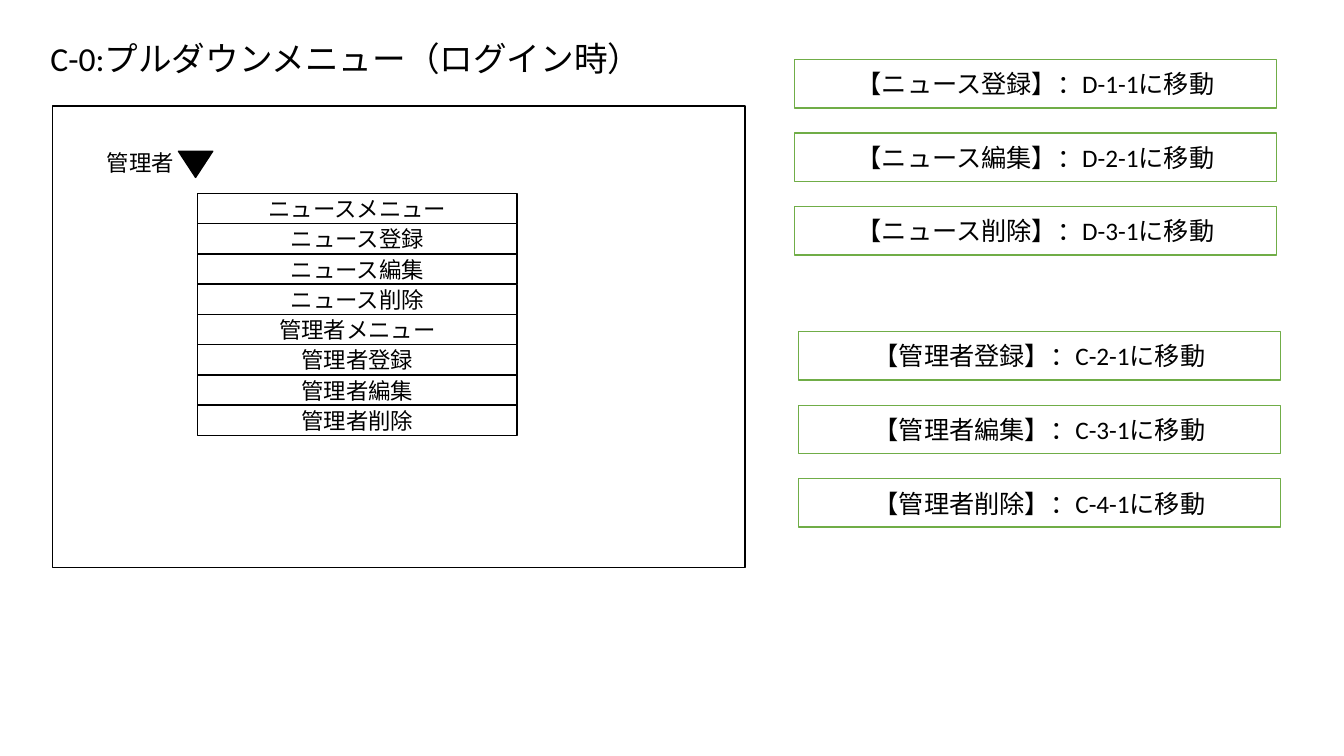
"""Build the pull-down menu slide for a logged-in administrator."""
from pptx import Presentation
from pptx.dml.color import RGBColor
from pptx.enum.shapes import MSO_SHAPE as Shape
from pptx.enum.text import MSO_ANCHOR as Anchor, MSO_AUTO_SIZE as Fit, PP_ALIGN as Align
from pptx.util import Inches, Pt

TITLE = "C-0:プルダウンメニュー（ログイン時）"
USER = "管理者"
MENU = [
    "ニュースメニュー", "ニュース登録", "ニュース編集", "ニュース削除",
    "管理者メニュー", "管理者登録", "管理者編集", "管理者削除",
]
MOVES = [
    (7.88, 0.59, [("ニュース登録", "D-1-1"), ("ニュース編集", "D-2-1"), ("ニュース削除", "D-3-1")]),
    (7.92, 3.29, [("管理者登録", "C-2-1"), ("管理者編集", "C-3-1"), ("管理者削除", "C-4-1")]),
]
MENU_X, MENU_Y, MENU_W, ROW = 1.96, 1.92, 3.17, 0.3
MOVE_W, MOVE_H, STEP = 4.78, 0.48, 0.73

BLACK = RGBColor(0x00, 0x00, 0x00)
WHITE = RGBColor(0xFF, 0xFF, 0xFF)
GREEN = RGBColor(0x70, 0xAD, 0x47)


def write(frame, text, size, align=Align.LEFT):
    """Put one styled paragraph in a text frame."""
    frame.text = text
    para = frame.paragraphs[0]
    para.alignment = align
    para.font.name = "Calibri"
    para.font.size = Pt(size)
    para.font.color.rgb = BLACK
    return para


def draw(slide, kind, place, fill=WHITE, line=BLACK):
    """Add a flat shape with a thin outline."""
    shape = slide.shapes.add_shape(kind, *map(Inches, place))
    shape.shadow.inherit = False
    shape.fill.solid()
    shape.fill.fore_color.rgb = fill
    shape.line.color.rgb = line
    shape.line.width = Pt(1)
    return shape


def box(slide, place, text, size, line=BLACK):
    """Add a rectangle with centred text."""
    frame = draw(slide, Shape.RECTANGLE, place, line=line).text_frame
    frame.vertical_anchor = Anchor.MIDDLE
    write(frame, text, size, Align.CENTER)


def main():
    """Lay out the slide and save it."""
    deck = Presentation()
    deck.slide_width, deck.slide_height = Inches(13.33), Inches(7.5)
    slide = deck.slides.add_slide(deck.slide_layouts[5])

    title = slide.shapes.title
    title.left, title.top, title.width, title.height = map(Inches, (0.4, 0.29, 11.5, 0.62))
    title.text_frame.auto_size = Fit.NONE
    title.text_frame.vertical_anchor = Anchor.MIDDLE
    write(title.text_frame, TITLE, 24).line_spacing = 0.9

    draw(slide, Shape.RECTANGLE, (0.52, 1.05, 6.87, 4.58))
    label = slide.shapes.add_textbox(*map(Inches, (0.96, 1.43, 0.91, 0.37)))
    label.text_frame.word_wrap = True
    write(label.text_frame, USER, 16)
    arrow = draw(slide, Shape.ISOSCELES_TRIANGLE, (1.77, 1.5, 0.34, 0.26), fill=BLACK)
    arrow.rotation = 180

    for row, item in enumerate(MENU):
        box(slide, (MENU_X, MENU_Y + row * ROW, MENU_W, ROW), item, 16)

    for left, top, moves in MOVES:
        for row, (item, page) in enumerate(moves):
            place = (left, top + row * STEP, MOVE_W, MOVE_H)
            box(slide, place, f"【{item}】：{page}に移動", 18, GREEN)

    deck.save("out.pptx")


if __name__ == "__main__":
    main()
